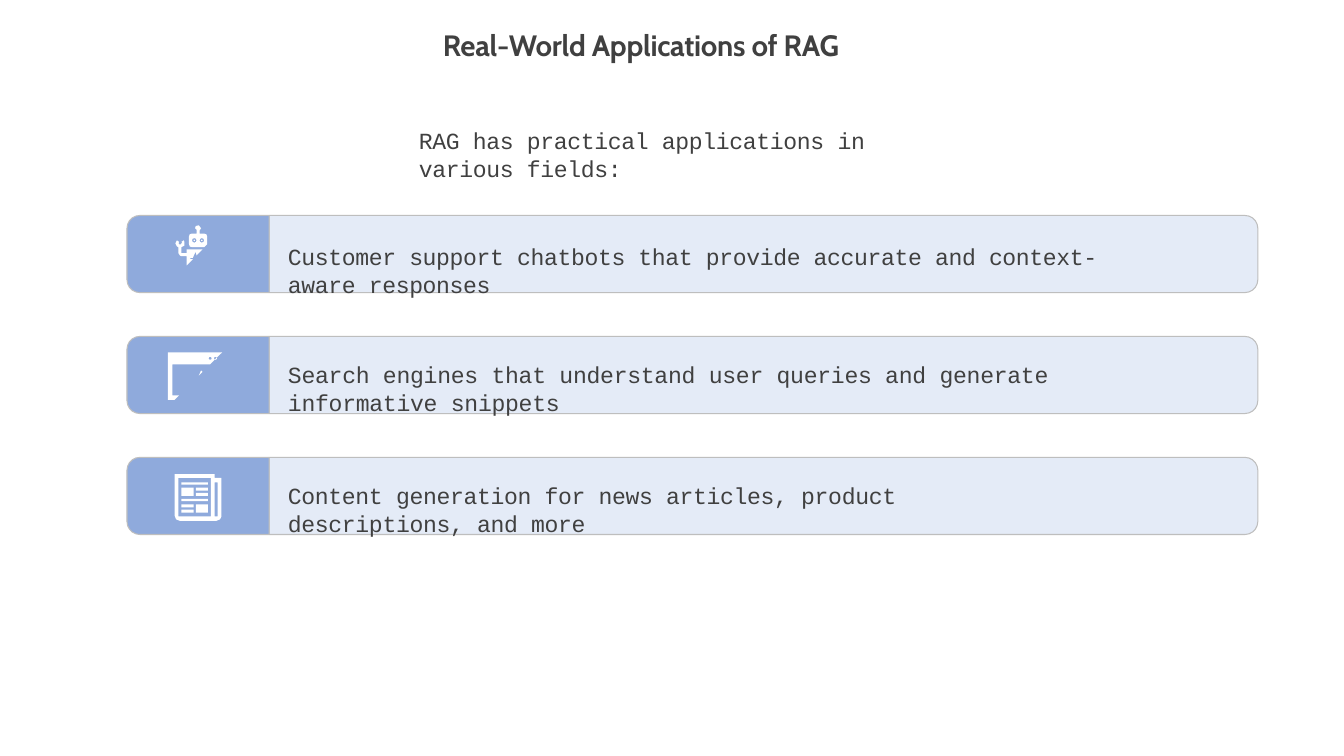
"""Build the slide on real-world applications of RAG."""
from dataclasses import dataclass
from math import cos, pi, sin

from pptx import Presentation
from pptx.dml.color import RGBColor
from pptx.enum.text import MSO_ANCHOR, MSO_AUTO_SIZE, PP_ALIGN
from pptx.util import Inches, Pt

TOP = MSO_ANCHOR.TOP
LEFT = PP_ALIGN.LEFT
GROW = MSO_AUTO_SIZE.SHAPE_TO_FIT_TEXT
TITLE_ONLY = 5


@dataclass(frozen=True)
class Theme:
    ink: RGBColor = RGBColor.from_string("404040")
    panel: RGBColor = RGBColor.from_string("E4EBF7")
    tab: RGBColor = RGBColor.from_string("8FAADC")
    border: RGBColor = RGBColor.from_string("BEBEBE")
    icon: RGBColor = RGBColor.from_string("FFFFFF")
    title_font: str = "Cabin"
    body_font: str = "Courier New"
    title_size: Pt = Pt(28)
    body_size: Pt = Pt(22)
    border_width: Pt = Pt(1)


theme = Theme()
deck = Presentation()
deck.slide_width = Inches(17.78)
deck.slide_height = Inches(10)
page = deck.slides.add_slide(deck.slide_layouts[TITLE_ONLY])


def write_text(box, place, text, font, size, bold, spacing):
    box.left, box.top, box.width, box.height = [Inches(value) for value in place]
    frame = box.text_frame
    frame.word_wrap = True
    frame.auto_size = GROW
    frame.vertical_anchor = TOP
    frame.margin_left = frame.margin_right = frame.margin_bottom = 0
    frame.margin_top = Inches(0.02)
    para = frame.paragraphs[0]
    para.alignment = LEFT
    span = para.add_run()
    span.text = text
    span.font.name = font
    span.font.size = size
    span.font.bold = bold
    span.font.color.rgb = theme.ink
    span.font._element.set("spc", str(round(spacing * 100)))


def draw_outline(contours, fill, border=None):
    contours = [[(Inches(x), Inches(y)) for x, y in contour] for contour in contours]
    builder = page.shapes.build_freeform(*contours[0][0])
    builder.add_line_segments(contours[0][1:], close=True)
    for contour in contours[1:]:
        builder.move_to(*contour[0])
        builder.add_line_segments(contour[1:], close=True)
    shape = builder.convert_to_shape()
    shape.shadow.inherit = False
    shape.fill.solid()
    shape.fill.fore_color.rgb = fill
    if border is None:
        shape.line.fill.background()
    else:
        shape.line.color.rgb = border
        shape.line.width = theme.border_width


write_text(page.shapes.title, (5.86, 0.34, 6.06, 0.49), "Real-World Applications of RAG",
           theme.title_font, theme.title_size, True, -0.25)
intro = page.shapes.add_textbox(0, 0, 0, 0)
write_text(intro, (5.54, 1.65, 6.69, 0.39), "RAG has practical applications in various fields:",
           theme.body_font, theme.body_size, False, -0.3)

row_top, row_pitch, row_height = 2.85, 1.6, 1.02
tab_left, seam, panel_right = 1.68, 3.56, 16.64
radius, steps = 0.17, 5
applications = [
    ("Customer support chatbots that provide accurate and context-aware responses",
     0.34, 11.36, -0.35),
    ("Search engines that understand user queries and generate informative snippets",
     0.3, 11.42, -0.25),
    ("Content generation for news articles, product descriptions, and more",
     0.3, 9.86, -0.3),
]
for row, (text, drop, width, spacing) in enumerate(applications):
    top = row_top + row * row_pitch
    bottom = top + row_height
    for edge, side, fill in ((panel_right, 1, theme.panel), (tab_left, -1, theme.tab)):
        center = edge - side * radius
        angles = [step * pi / 2 / steps for step in range(steps + 1)]
        upper = [(center + side * radius * sin(a), top + radius * (1 - cos(a))) for a in angles]
        lower = [(x, top + bottom - y) for x, y in reversed(upper)]
        draw_outline([[(seam, top), *upper, *lower, (seam, bottom)]], fill, theme.border)
    label = page.shapes.add_textbox(0, 0, 0, 0)
    write_text(label, (3.81, top + drop, width, 0.39), text,
               theme.body_font, theme.body_size, False, spacing)

robot_head = [
    (2.54, 3.09), (2.6, 3.09), (2.6, 3.04), (2.58, 3.02), (2.59, 2.99), (2.63, 2.98),
    (2.66, 3.02), (2.64, 3.05), (2.64, 3.09), (2.7, 3.09), (2.73, 3.1), (2.74, 3.13),
    (2.74, 3.23), (2.7, 3.27), (2.54, 3.27), (2.51, 3.26), (2.5, 3.23), (2.5, 3.13), (2.51, 3.1),
]
robot_body = [
    (2.68, 3.3), (2.47, 3.3), (2.47, 3.35), (2.4, 3.35), (2.4, 3.27), (2.44, 3.25),
    (2.44, 3.2), (2.43, 3.18), (2.4, 3.2), (2.41, 3.21), (2.38, 3.24), (2.36, 3.22),
    (2.37, 3.2), (2.34, 3.18), (2.32, 3.22), (2.34, 3.26), (2.36, 3.27), (2.36, 3.35),
    (2.38, 3.38), (2.4, 3.39), (2.47, 3.39), (2.47, 3.51), (2.55, 3.43), (2.52, 3.43),
    (2.52, 3.41), (2.55, 3.41), (2.59, 3.33), (2.6, 3.38),
]
robot_eyes = [
    [(x + size * cos(k * pi / 4), 3.18 + size * sin(k * pi / 4)) for k in range(8)]
    for x in (2.57, 2.67) for size in (0.03, 0.01)
]
draw_outline([robot_head, robot_body, *robot_eyes], theme.icon)

browser_frame = [
    (2.22, 4.66), (2.94, 4.66), (2.78, 4.82), (2.28, 4.82),
    (2.28, 5.23), (2.37, 5.23), (2.31, 5.29), (2.22, 5.29),
]
browser_glint = [(2.68, 4.92), (2.66, 4.9), (2.63, 4.97)]
browser_dots = [
    [(x + 0.02 * cos(k * pi / 4), 4.74 + 0.02 * sin(k * pi / 4)) for k in range(8)]
    for x in (2.78, 2.85)
]
draw_outline([browser_frame, browser_glint, *browser_dots], theme.icon)

paper_outline = [
    (2.31, 6.27), (2.84, 6.27), (2.84, 6.32), (2.93, 6.32), (2.93, 6.83), (2.91, 6.87),
    (2.86, 6.89), (2.38, 6.89), (2.33, 6.87), (2.31, 6.82),
]
paper_blocks = [
    (2.36, 6.32, 2.79, 6.83), (2.84, 6.38, 2.88, 6.83),
    (2.4, 6.38, 2.75, 6.41), (2.4, 6.45, 2.56, 6.56), (2.59, 6.45, 2.75, 6.49),
    (2.59, 6.52, 2.75, 6.56), (2.4, 6.6, 2.75, 6.63), (2.4, 6.67, 2.56, 6.71),
    (2.4, 6.74, 2.56, 6.78), (2.59, 6.67, 2.75, 6.78),
]
paper_contours = [[(x1, y1), (x2, y1), (x2, y2), (x1, y2)] for x1, y1, x2, y2 in paper_blocks]
draw_outline([paper_outline, *paper_contours], theme.icon)

deck.save("out.pptx")
